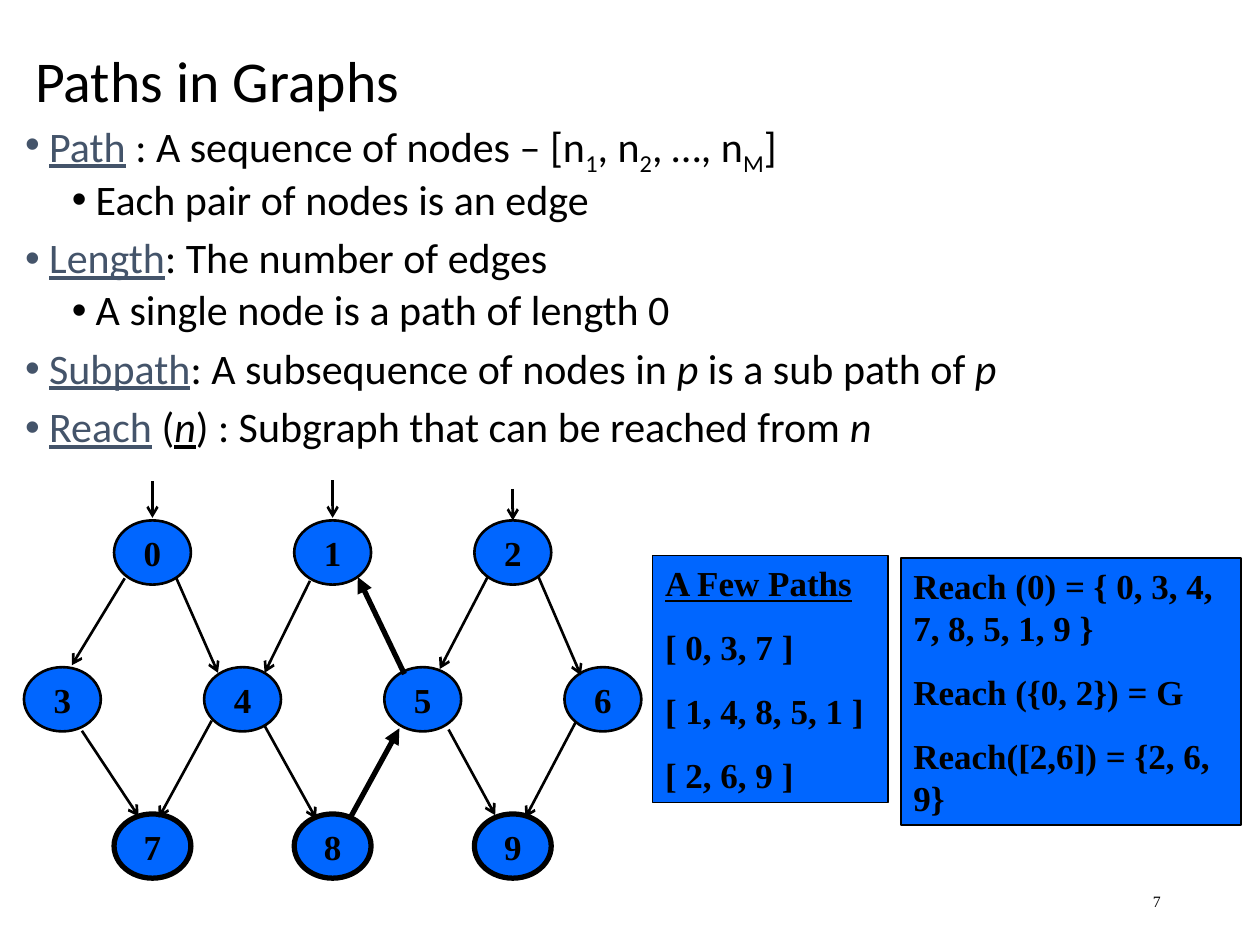
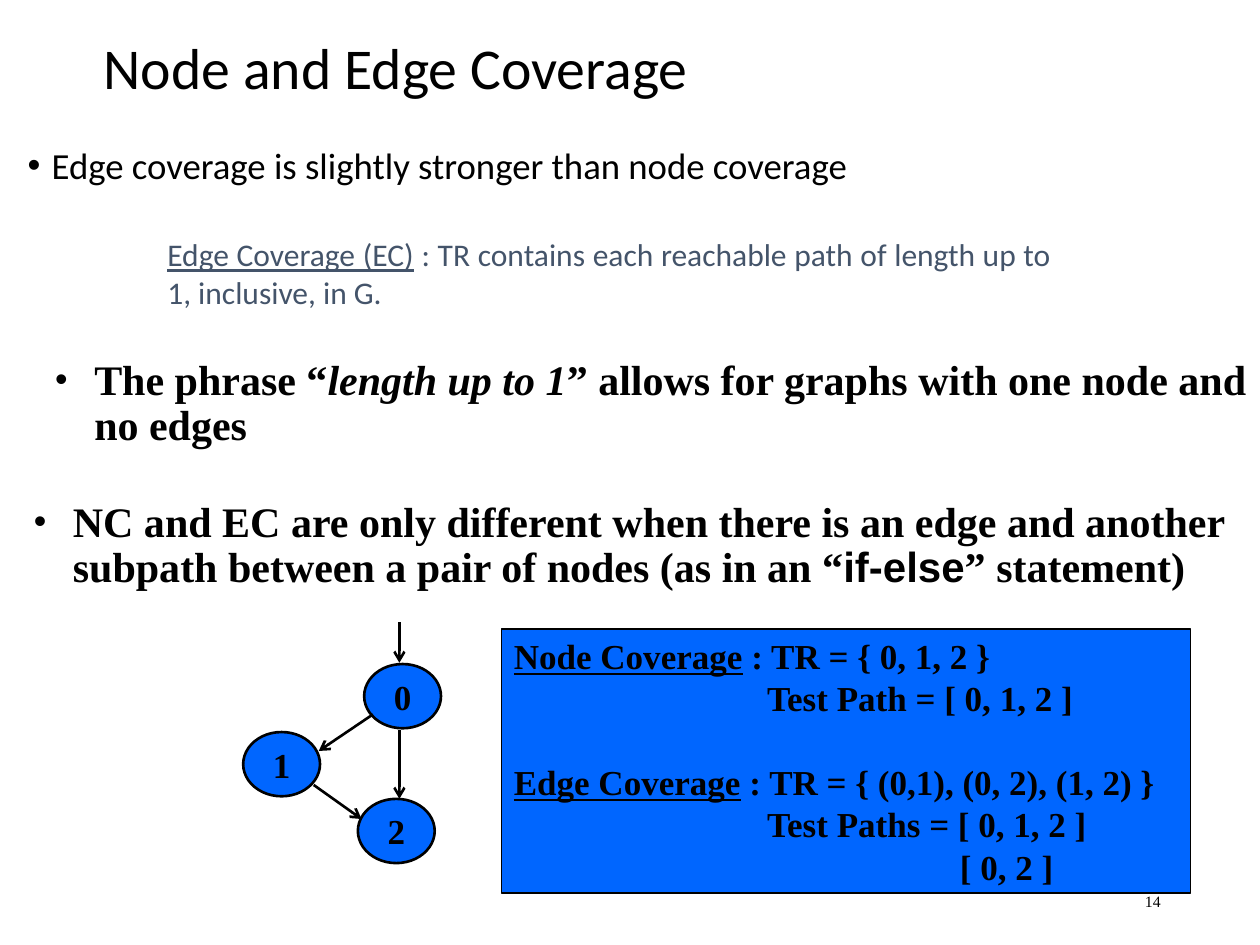
from lxml.etree import SubElement
from pptx import Presentation
from pptx.dml.color import RGBColor
from pptx.enum.shapes import MSO_CONNECTOR, MSO_SHAPE
from pptx.enum.text import MSO_ANCHOR, MSO_AUTO_SIZE, PP_ALIGN
from pptx.oxml.ns import qn
from pptx.util import Inches, Pt

BLACK = RGBColor(0x00, 0x00, 0x00)
SLATE = RGBColor(0x44, 0x54, 0x6A)
BLUE = RGBColor(0x00, 0x66, 0xFF)

TITLE = {"name": "Calibri", "size": Pt(33), "color": BLACK}
BODY = {"name": "Calibri", "size": Pt(24), "color": BLACK}
SERIF = {"name": "Times New Roman", "size": Pt(20), "bold": True, "color": BLACK}
NUMBER = {"name": "Times New Roman", "size": Pt(9), "color": BLACK}
TERM = {"color": SLATE, "underline": True}
UNDER = {"underline": True}
ITALIC = {"italic": True}
SUB = {"baseline": "-25000"}
NODE_W, NODE_H = 0.61, 0.51


def add_para(tf, runs, font, para=None, bullet=None, left=0, hang=0):
    """Add a paragraph; runs are strings or (text, format) pairs, bullet is (colour, percent)."""
    first = not tf.text
    p = tf.paragraphs[0] if first else tf.add_paragraph()
    pPr = p._p.get_or_add_pPr()
    pPr.set("marL", str(Inches(left)))
    pPr.set("indent", str(-Inches(hang)))
    if bullet:
        color, percent = bullet
        SubElement(SubElement(pPr, qn("a:buClr")), qn("a:srgbClr"), val=str(color))
        SubElement(pPr, qn("a:buSzPct"), val=str(percent * 1000))
        SubElement(pPr, qn("a:buFont"), typeface="Arial")
        SubElement(pPr, qn("a:buChar"), char="•")
    for key, value in (para or {}).items():
        setattr(p, key, value)
    if first:
        p.space_before = Pt(0)
    for run in runs:
        text, extra = (run, {}) if isinstance(run, str) else run
        r = p.add_run()
        r.text = text
        for key, value in (font | extra).items():
            if key == "color":
                r.font.color.rgb = value
            elif key == "baseline":
                r._r.get_or_add_rPr().set(key, value)
            else:
                setattr(r.font, key, value)


def add_blue(s, kind, x, y, w, h, line=1.0):
    sp = s.shapes.add_shape(kind, Inches(x), Inches(y), Inches(w), Inches(h))
    sp.shadow.inherit = False
    sp.fill.solid()
    sp.fill.fore_color.rgb = BLUE
    sp.line.color.rgb = BLACK
    sp.line.width = Pt(line)
    sp.text_frame.word_wrap = True
    return sp


prs = Presentation()
prs.slide_width, prs.slide_height = Inches(10), Inches(7.5)

# Titles, body areas, page numbers
pages = [
    ("Paths in Graphs", (0.21, -0.06, 8.62, 1.45), (0.13, 0.92, 9.7, 2.76), "7"),
    ("Node and Edge Coverage", (0.75, 0.11, 8.5, 0.9), (0.15, 1.13, 9.7, 0.52), "14"),
]
slides, bodies = [], []
for title, title_at, body_at, number in pages:
    s = prs.slides.add_slide(prs.slide_layouts[1])
    slides.append(s)
    body = s.placeholders[1]
    bodies.append(body.text_frame)
    for sp, at in ((s.shapes.title, title_at), (body, body_at)):
        sp.left, sp.top, sp.width, sp.height = map(Inches, at)
        tf = sp.text_frame
        tf.auto_size = MSO_AUTO_SIZE.NONE
        tf.margin_left = tf.margin_right = Inches(0.07)
        tf.margin_top = tf.margin_bottom = Inches(0.04)
    tf = s.shapes.title.text_frame
    tf.vertical_anchor = MSO_ANCHOR.MIDDLE
    add_para(tf, [title], TITLE, {"alignment": PP_ALIGN.LEFT, "line_spacing": 0.9})
    tf = s.shapes.add_textbox(Inches(7.06), Inches(6.95), Inches(2.25), Inches(0.4)).text_frame
    tf.word_wrap = True
    tf.vertical_anchor = MSO_ANCHOR.MIDDLE
    add_para(tf, [number], NUMBER, {"alignment": PP_ALIGN.RIGHT})

# Definitions of paths
definitions = [
    (0, [("Path", TERM), " : A sequence of nodes – [n", ("1", SUB), ", n", ("2", SUB),
         ", …, n", ("M", SUB), "]"]),
    (1, ["Each pair of nodes is an edge"]),
    (0, [("Length", TERM), ": The number of edges"]),
    (1, ["A single node is a path of length 0"]),
    (0, [("Subpath", TERM), ": A subsequence of nodes in ", ("p", ITALIC),
         " is a sub path of ", ("p", ITALIC)]),
    (0, [("Reach", TERM), " (", ("n", ITALIC | UNDER),
         ") : Subgraph that can be reached from ", ("n", ITALIC)]),
]
for level, runs in definitions:
    para = {"level": level, "alignment": PP_ALIGN.JUSTIFY, "line_spacing": 0.9,
            "space_before": Pt(3.7 if level else 7.5)}
    add_para(bodies[0], runs, BODY, para, (BLACK if level else SLATE, 100),
             0.56 if level else 0.19, 0.19)

# Coverage statements
add_para(bodies[1], ["Edge coverage is slightly stronger than node coverage"],
         BODY | {"size": Pt(21)}, {"line_spacing": 0.9}, (BLACK, 100), 0.19, 0.19)
statements = [
    (0.34, 2.8, ["The phrase “", ("length up to 1", ITALIC),
                 "” allows for graphs with one node and no edges"]),
    (0.17, 3.93, ["NC and EC are only different when there is an edge and another subpath "
                  "between a pair of nodes (as in an “", ("if-else", {"name": "Arial"}),
                  "” statement)"]),
]
for x, y, runs in statements:
    tf = slides[1].shapes.add_textbox(Inches(x), Inches(y), Inches(9.7), Inches(0.83)).text_frame
    tf.word_wrap = True
    add_para(tf, runs, SERIF | {"size": Pt(24)}, {"line_spacing": 0.9}, (BLACK, 85), 0.31, 0.31)

tf = slides[1].shapes.add_textbox(Inches(1.23), Inches(1.82), Inches(7.21), Inches(0.7)).text_frame
tf.word_wrap = True
add_para(tf, [("Edge Coverage (EC)", UNDER),
              " : TR contains each reachable path of length up to 1, inclusive, in G."],
         BODY | {"size": Pt(18), "color": SLATE}, {"alignment": PP_ALIGN.JUSTIFY})

# Graphs: nodes as (label, left, top, outline), edges as (x1, y1, x2, y2)
path_nodes = []
for row, (labels, first_col) in enumerate([("012", 1), ("3456", 0), ("789", 1)]):
    for i, label in enumerate(labels):
        path_nodes.append((label, 0.19 + 0.715 * (first_col + 2 * i), 4.13 + 1.165 * row,
                           3 if row == 2 else 1.5))
path_edges = [
    (1.21, 3.82, 1.21, 4.11), (2.64, 3.81, 2.64, 4.11), (4.07, 3.88, 4.07, 4.13),
    (0.99, 4.59, 0.57, 5.28), (1.4, 4.59, 1.73, 5.34), (2.46, 4.61, 2.1, 5.34),
    (3.87, 4.58, 3.49, 5.31), (4.27, 4.57, 4.61, 5.36), (0.65, 5.8, 1.1, 6.48),
    (1.68, 5.72, 1.26, 6.49), (2.1, 5.76, 2.51, 6.5), (3.56, 5.79, 3.93, 6.47),
    (4.57, 5.73, 4.17, 6.49),
]
back_edges = [(2.78, 6.49, 3.17, 5.78), (3.21, 5.35, 2.84, 4.58)]
branch_nodes = [("0", 2.89, 5.27, 1.5), ("1", 1.93, 5.81, 1.5), ("2", 2.84, 6.34, 1.5)]
branch_edges = [
    (3.17, 4.94, 3.17, 5.26), (2.96, 5.67, 2.53, 5.96),
    (2.49, 6.23, 2.87, 6.5), (3.17, 5.79, 3.17, 6.34),
]
graphs = [(path_nodes, path_edges, back_edges), (branch_nodes, branch_edges, [])]
for s, (nodes, edges, heavy_edges) in zip(slides, graphs):
    for label, x, y, outline in nodes:
        tf = add_blue(s, MSO_SHAPE.OVAL, x, y, NODE_W, NODE_H, outline).text_frame
        tf.margin_left = tf.margin_right = tf.margin_top = tf.margin_bottom = 0
        tf.vertical_anchor = MSO_ANCHOR.MIDDLE
        add_para(tf, [label], SERIF, {"alignment": PP_ALIGN.CENTER})
    for group, width, head in ((edges, 1.5, "arrow"), (heavy_edges, 3, "triangle")):
        for ends in group:
            c = s.shapes.add_connector(MSO_CONNECTOR.STRAIGHT, *map(Inches, ends))
            c.line.color.rgb = BLACK
            c.line.width = Pt(width)
            SubElement(c.line._get_or_add_ln(), qn("a:tailEnd"), type=head)
            SubElement(c._element.spPr, qn("a:effectLst"))

# Blue boxes: lines as (left indent, space before, runs)
boxes = [
    (slides[0], (5.18, 4.41, 1.87, 1.96), [
        (0, 12.5, [("A Few Paths", UNDER)]),
        (0, 12.5, ["[ 0, 3, 7 ]"]),
        (0, 12.5, ["[ 1, 4, 8, 5, 1 ]"]),
        (0, 12.5, ["[ 2, 6, 9 ]"])]),
    (slides[0], (7.15, 4.43, 2.7, 2.12), [
        (0, 12.5, ["Reach (0) = { 0, 3, 4, 7, 8, 5, 1, 9 }"]),
        (0, 12.5, ["Reach ({0, 2}) = G"]),
        (0, 12.5, ["Reach([2,6]) = {2, 6, 9}"])]),
    (slides[1], (3.98, 4.99, 5.47, 2.1), [
        (0, 0, [("Node Coverage", UNDER), " : TR = { 0, 1, 2 }"]),
        (2.01, 0, ["Test Path = [ 0, 1, 2 ]"]),
        (0, 24, [("Edge Coverage", UNDER), " : TR = { (0,1), (0, 2), (1, 2) }"]),
        (2.01, 0, ["Test Paths = [ 0, 1, 2 ]"]),
        (3.54, 0, ["[ 0, 2 ]"])]),
]
for s, at, lines in boxes:
    tf = add_blue(s, MSO_SHAPE.RECTANGLE, *at).text_frame
    tf.vertical_anchor = MSO_ANCHOR.TOP
    for left, before, runs in lines:
        add_para(tf, runs, SERIF, {"alignment": PP_ALIGN.LEFT, "space_before": Pt(before)},
                 left=left)

prs.save("out.pptx")
